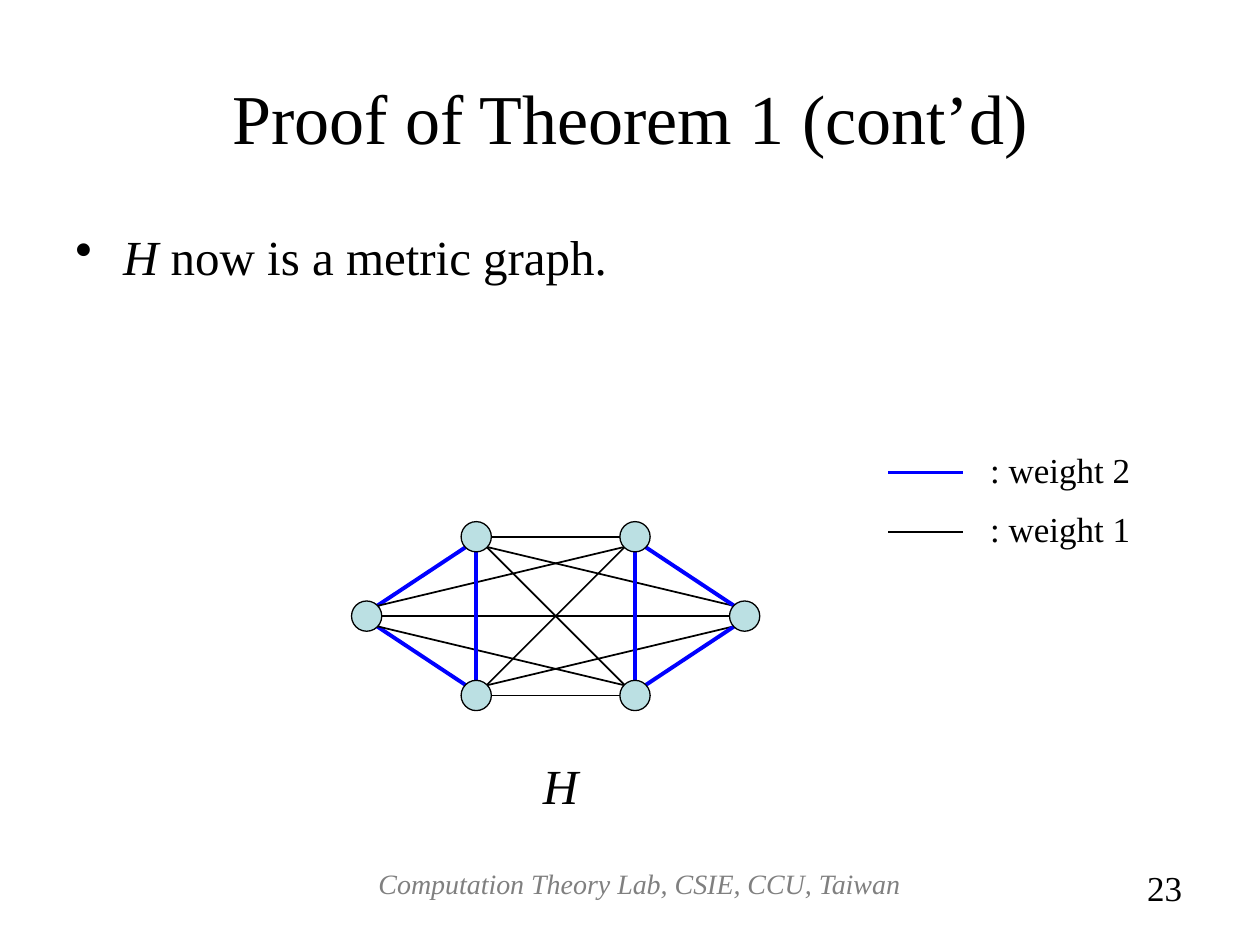
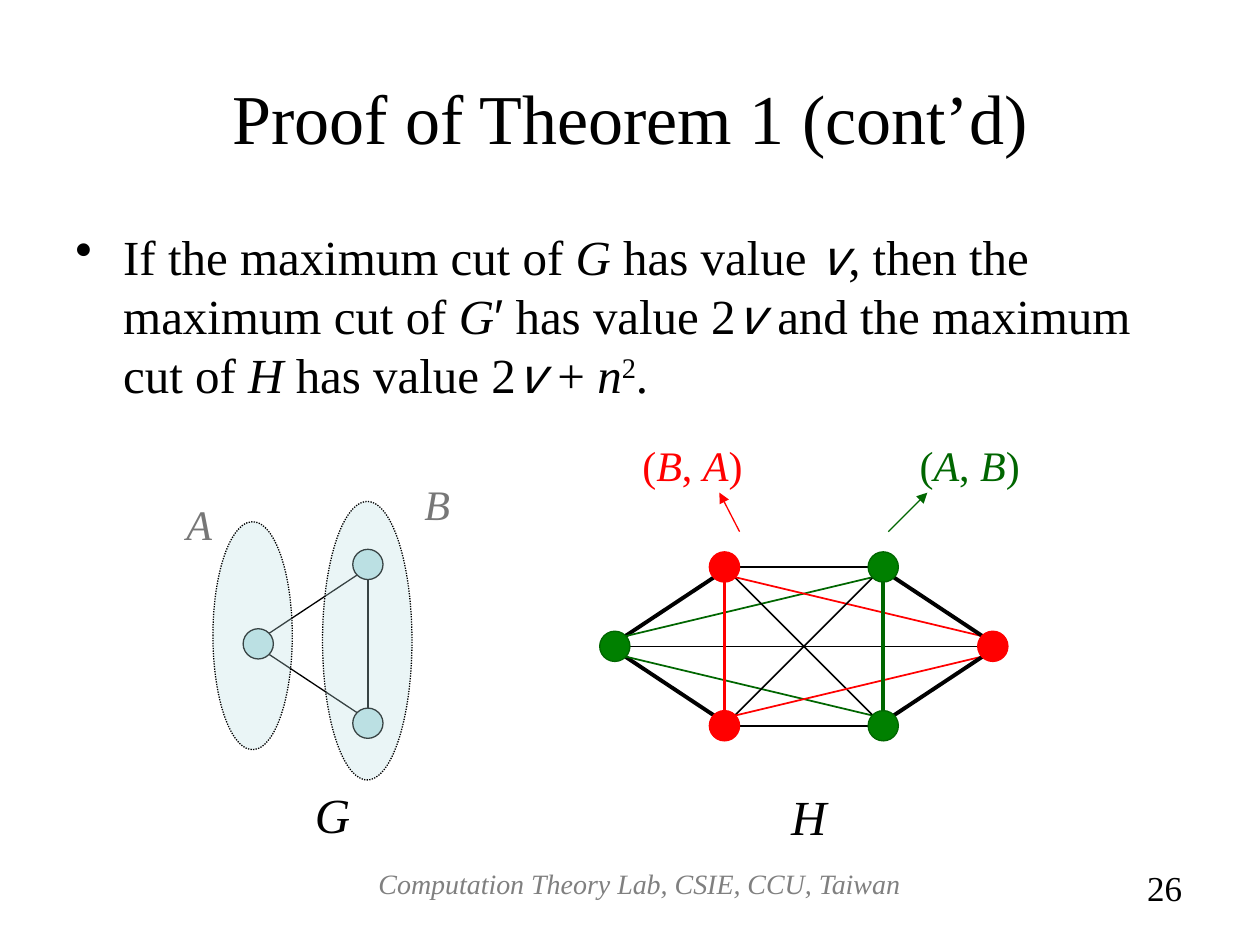
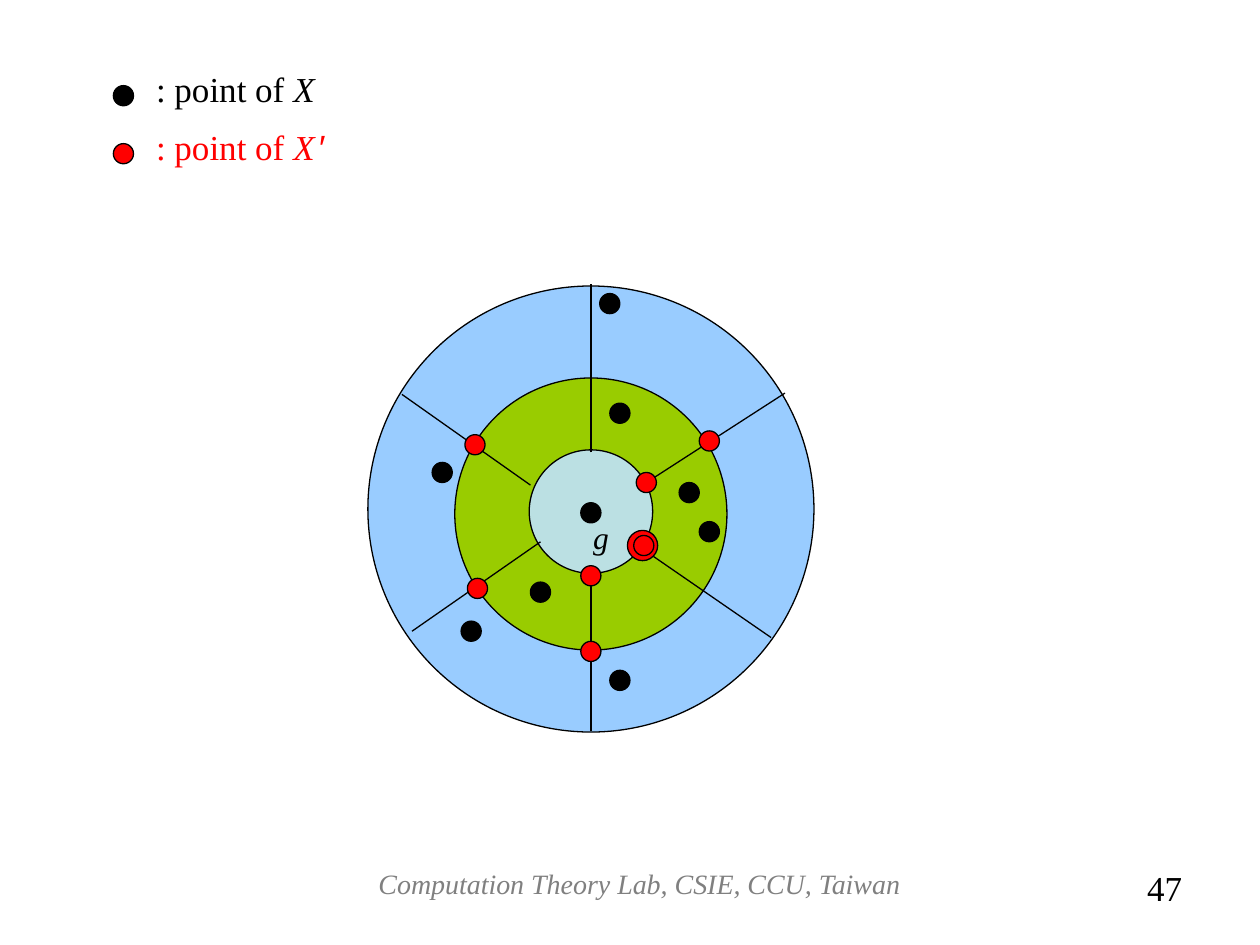
from itertools import combinations

from lxml import etree
from pptx import Presentation
from pptx.dml.color import RGBColor
from pptx.enum.dml import MSO_LINE
from pptx.enum.shapes import MSO_CONNECTOR, MSO_SHAPE
from pptx.enum.text import MSO_ANCHOR, PP_ALIGN
from pptx.oxml.ns import qn
from pptx.util import Inches, Pt

OVAL = MSO_SHAPE.OVAL
STRAIGHT = MSO_CONNECTOR.STRAIGHT
DOTTED = MSO_LINE.ROUND_DOT
MIDDLE = MSO_ANCHOR.MIDDLE
LEFT, CENTER, RIGHT = PP_ALIGN.LEFT, PP_ALIGN.CENTER, PP_ALIGN.RIGHT

SERIF = "Times New Roman"
BLACK, GRAY, LABEL_GRAY = "000000", "808080", "777777"
BLUE, RED, GREEN, DARK_GREEN = "0000FF", "FF0000", "008000", "006600"
PALE, SKY, LIME = "BBE0E3", "99CCFF", "99CC00"
THIN, LIGHT, HEAVY = 0.75, 1, 2.25

PLAIN = {}
ITALIC = {"italic": True}
VALUE = {"italic": True, "font": "Noto Sans Mono"}
PRIME = {"font": "Arial"}
RAISED = {"baseline": "30000"}


def write(frame, text, size=28, color=BLACK, align=LEFT, bullet=False):
    frame.word_wrap = True
    para = frame.paragraphs[0]
    para.alignment = align
    if bullet:
        properties = para._p.get_or_add_pPr()
        properties.set("marL", str(Inches(0.38)))
        properties.set("indent", str(-Inches(0.38)))
        etree.SubElement(properties, qn("a:buChar")).set("char", "•")
    pieces = [(text, PLAIN)] if isinstance(text, str) else text
    for words, style in pieces:
        span = para.add_run()
        span.text = words
        span.font.name = style.get("font", SERIF)
        span.font.size = Pt(style.get("size", size))
        span.font.italic = style.get("italic", False)
        span.font.color.rgb = RGBColor.from_string(color)
        if "baseline" in style:
            span._r.get_or_add_rPr().set("baseline", style["baseline"])


def paint(item, line=BLACK, width=THIN, fill=None, alpha=None, dash=None, arrow=False):
    item.line.color.rgb = RGBColor.from_string(line)
    item.line.width = Pt(width)
    if dash:
        item.line.dash_style = dash
    if arrow:
        etree.SubElement(item.line._get_or_add_ln(), qn("a:tailEnd")).set("type", "triangle")
    if fill:
        item.fill.solid()
        item.fill.fore_color.rgb = RGBColor.from_string(fill)
    if alpha:
        paint_color = item._element.spPr.find(qn("a:solidFill"))[0]
        etree.SubElement(paint_color, qn("a:alpha")).set("val", str(alpha * 1000))
    etree.SubElement(item._element.spPr, qn("a:effectLst"))


deck = Presentation()
deck.slide_width, deck.slide_height = Inches(10), Inches(7.5)
title_only, blank = deck.slide_layouts[5], deck.slide_layouts[6]

metric_page = deck.slides.add_slide(title_only)
cut_page = deck.slides.add_slide(title_only)
ring_page = deck.slides.add_slide(blank)

metric_text = [("H", ITALIC), (" now is a metric graph.", PLAIN)]
cut_text = [
    ("If the maximum cut of ", PLAIN), ("G", ITALIC), (" has value ", PLAIN), ("v", VALUE),
    (", then the maximum cut of ", PLAIN), ("G", ITALIC), ("′", PRIME),
    (" has value 2", PLAIN), ("v", VALUE), (" and the maximum cut of ", PLAIN),
    ("H", ITALIC), (" has value 2", PLAIN), ("v", VALUE), (" + ", PLAIN),
    ("n", ITALIC), ("2", RAISED), (".", PLAIN),
]
for page, body_text in [(metric_page, metric_text), (cut_page, cut_text)]:
    title = page.shapes.title
    title.left, title.top, title.width, title.height = map(Inches, (0.5, 0.3, 9, 1.25))
    title.text_frame.vertical_anchor = MIDDLE
    write(title.text_frame, "Proof of Theorem 1 (cont’d)", size=40, align=CENTER)
    body = page.shapes.add_textbox(*map(Inches, (0.5, 1.75, 9, 1.8)))
    write(body.text_frame, body_text, bullet=True)

left_nodes = [(-1.5, 0), (-0.63, -0.63), (-0.63, 0.63)]
all_nodes = left_nodes + [(0.63, -0.63), (0.63, 0.63), (1.5, 0)]
neutral, red_team, green_team = (PALE, BLACK), (RED, RED), (GREEN, DARK_GREEN)
cut_teams = [green_team, red_team, red_team, green_team, green_team, red_team]
radius, corner = 0.12, 0.08

graphs = [
    (metric_page, 4.41, 4.89, all_nodes, [neutral] * 6, BLUE, HEAVY),
    (cut_page, 3.55, 5.11, left_nodes, [neutral] * 3, BLACK, THIN),
    (cut_page, 6.38, 5.13, all_nodes, cut_teams, BLACK, HEAVY),
]
for page, center_x, center_y, nodes, teams, side_color, side_width in graphs:
    for (start, (_, start_line)), (end, (_, end_line)) in combinations(zip(nodes, teams), 2):
        same_side = start[0] * end[0] > 0
        color = side_color if same_side else BLACK
        if start_line == end_line != BLACK:
            color = start_line
        run, rise = end[0] - start[0], end[1] - start[1]
        reach = corner if run and rise else radius
        step_x = reach * ((run > 0) - (run < 0))
        step_y = reach * ((rise > 0) - (rise < 0))
        ends = (center_x + start[0] + step_x, center_y + start[1] + step_y,
                center_x + end[0] - step_x, center_y + end[1] - step_y)
        edge = page.shapes.add_connector(STRAIGHT, *map(Inches, ends))
        paint(edge, line=color, width=side_width if same_side else LIGHT)
    for (x, y), (fill, line) in zip(nodes, teams):
        area = (center_x + x - radius, center_y + y - radius, 2 * radius, 2 * radius)
        node = page.shapes.add_shape(OVAL, *map(Inches, area))
        paint(node, line=line, fill=fill)

for y, color, width in [(3.75, BLUE, HEAVY), (4.22, BLACK, LIGHT)]:
    sample = metric_page.shapes.add_connector(STRAIGHT, *map(Inches, (7.05, y, 7.64, y)))
    paint(sample, line=color, width=width)

for area in [(1.69, 4.14, 0.63, 1.81), (2.56, 3.98, 0.71, 2.21)]:
    part = cut_page.shapes.add_shape(OVAL, *map(Inches, area))
    paint(part, fill=PALE, alpha=30, dash=DOTTED)

for ends, color in [((5.87, 4.22, 5.71, 3.91), RED), ((7.05, 4.22, 7.36, 3.91), DARK_GREEN)]:
    pointer = cut_page.shapes.add_connector(STRAIGHT, *map(Inches, ends))
    paint(pointer, line=color, arrow=True)

ring_x = 4.69
for center_y, diameter, fill in [(4.04, 3.54, SKY), (4.08, 2.16, LIME), (4.06, 0.98, PALE)]:
    area = (ring_x - diameter / 2, center_y - diameter / 2, diameter, diameter)
    ring = ring_page.shapes.add_shape(OVAL, *map(Inches, area))
    paint(ring, fill=fill)

spokes = [
    (4.69, 3.59, 4.69, 2.25), (5.13, 3.83, 6.23, 3.12), (4.21, 3.85, 3.19, 3.13),
    (4.29, 4.3, 3.27, 5.01), (5.09, 4.35, 6.12, 5.06), (4.69, 4.54, 4.69, 5.8),
]
for ends in spokes:
    spoke = ring_page.shapes.add_connector(STRAIGHT, *map(Inches, ends))
    paint(spoke)

legend_x, legend_top, legend_step = 0.98, 0.76, 0.46
black_points = [
    (legend_x, legend_top), (4.69, 4.07), (4.92, 3.28), (5.63, 4.22), (4.92, 5.4),
    (5.47, 3.91), (3.51, 3.75), (3.74, 5.01), (4.29, 4.7), (4.84, 2.41),
]
red_points = [
    (legend_x, legend_top + legend_step), (5.13, 3.83), (5.63, 3.5), (5.11, 4.33),
    (4.69, 5.17), (4.69, 4.57), (3.77, 3.53), (3.79, 4.67),
]
dots = [(5.1, 4.33, 0.24, RED)]
dots += [(x, y, 0.16, BLACK) for x, y in black_points]
dots += [(x, y, 0.16, RED) for x, y in red_points]
for x, y, diameter, fill in dots:
    area = (x - diameter / 2, y - diameter / 2, diameter, diameter)
    dot = ring_page.shapes.add_shape(OVAL, *map(Inches, area))
    paint(dot, fill=fill)

x_text = [(": point of ", PLAIN), ("X", ITALIC)]
x_prime_text = x_text + [(" ", {"size": 10, "italic": True}), ("′", PRIME)]
a_then_b = [("(", PLAIN), ("A", ITALIC), (", ", PLAIN), ("B", ITALIC), (")", PLAIN)]
b_then_a = [("(", PLAIN), ("B", ITALIC), (", ", PLAIN), ("A", ITALIC), (")", PLAIN)]
labels = [
    (metric_page, (4.21, 5.95, 0.63, 0.57), [("H", ITALIC)], 28, BLACK),
    (metric_page, (7.76, 3.51, 1.57, 0.44), ": weight 2", 20, BLACK),
    (metric_page, (7.76, 3.98, 1.57, 0.44), ": weight 1", 20, BLACK),
    (cut_page, (2.4, 6.18, 0.63, 0.57), [("G", ITALIC)], 28, BLACK),
    (cut_page, (6.18, 6.19, 0.63, 0.57), [("H", ITALIC)], 28, BLACK),
    (cut_page, (7.2, 3.44, 1.26, 0.5), a_then_b, 24, DARK_GREEN),
    (cut_page, (5, 3.44, 1.26, 0.5), b_then_a, 24, RED),
    (cut_page, (1.38, 3.91, 0.39, 0.5), [("A", ITALIC)], 24, LABEL_GRAY),
    (cut_page, (3.27, 3.75, 0.39, 0.5), [("B", ITALIC)], 24, LABEL_GRAY),
    (ring_page, (4.61, 4.06, 0.3, 0.4), [("g", ITALIC)], 18, BLACK),
    (ring_page, (1.14, 0.49, 1.73, 0.44), x_text, 20, BLACK),
    (ring_page, (1.14, 0.95, 1.73, 0.44), x_prime_text, 20, RED),
]
for page, area, text, size, color in labels:
    label = page.shapes.add_textbox(*map(Inches, area))
    write(label.text_frame, text, size=size, color=color)

credit = [("Computation Theory Lab, CSIE, CCU, Taiwan", ITALIC)]
for page, number in [(metric_page, "23"), (cut_page, "26"), (ring_page, "47")]:
    footer = page.shapes.add_textbox(*map(Inches, (2.4, 6.83, 5.35, 0.52)))
    write(footer.text_frame, credit, size=16, color=GRAY, align=CENTER)
    number_box = page.shapes.add_textbox(*map(Inches, (7.99, 6.83, 1.49, 0.52)))
    write(number_box.text_frame, number, size=20, align=RIGHT)

deck.save("out.pptx")
